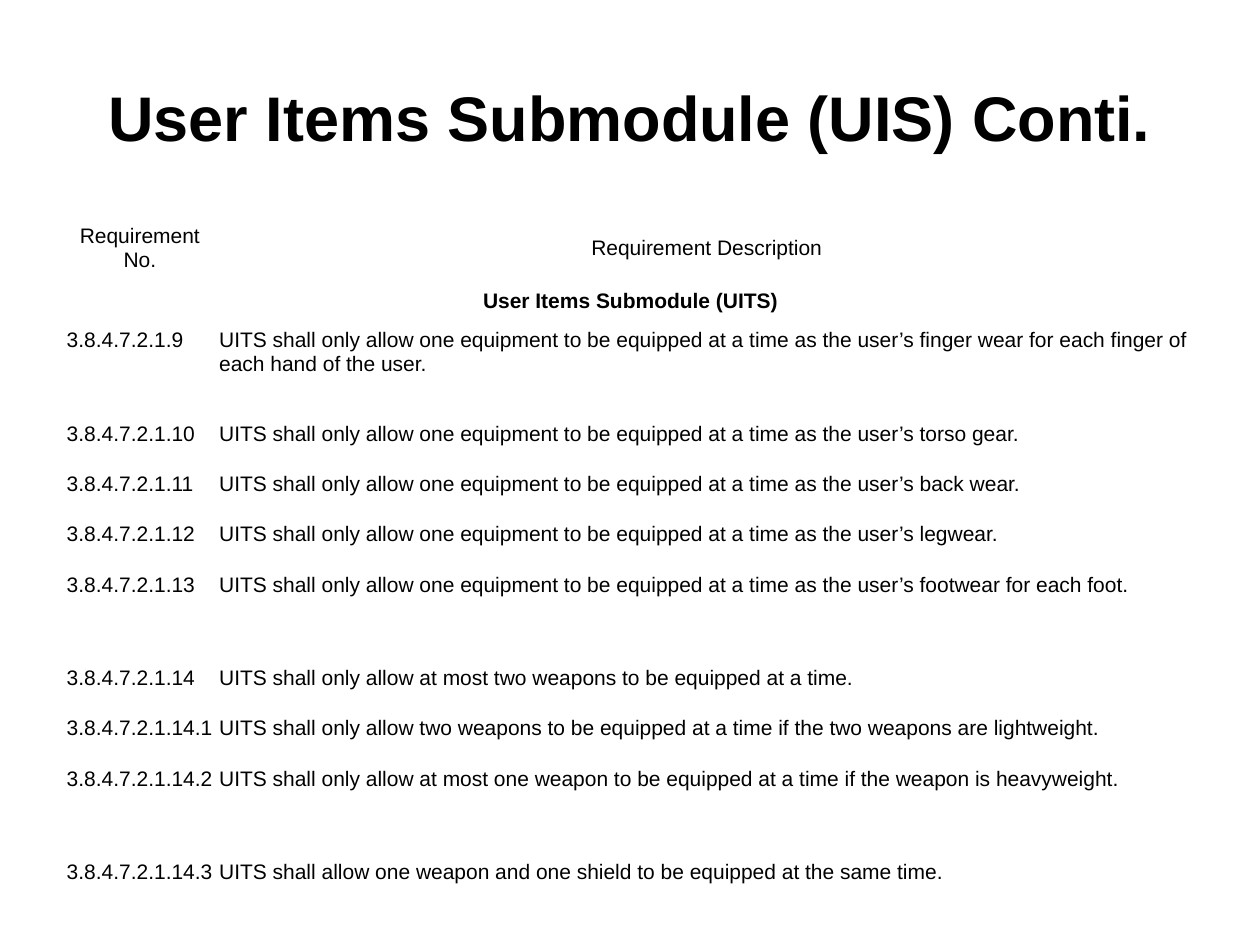
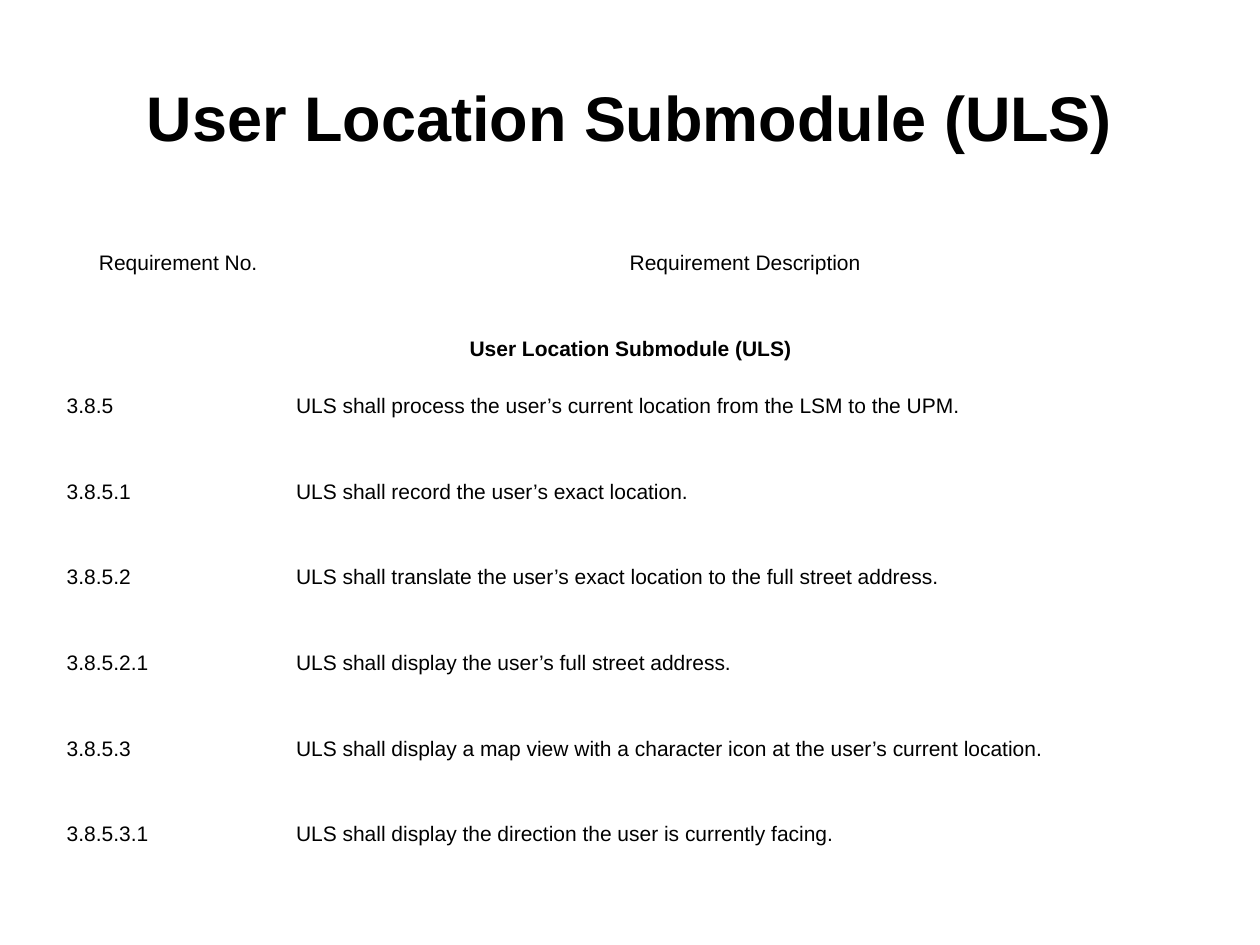
"""Builds two slides of numbered software requirements, each a title above a table."""
from dataclasses import dataclass

from pptx import Presentation
from pptx.dml.color import RGBColor
from pptx.enum.text import MSO_ANCHOR, PP_ALIGN
from pptx.oxml.ns import qn
from pptx.util import Inches, Pt

HEADERS = ("Requirement No.", "Requirement Description")
ONE_EQUIPMENT = "UITS shall only allow one equipment to be equipped at a time as the user’s "

SLIDES = [
    {
        "title": "User Items Submodule (UIS) Conti.",
        "section": "User Items Submodule (UITS)",
        "number_width": 1.21,
        "row_height": 0.4,
        "tall_height": 0.74,
        "tall": {"3.8.4.7.2.1.9", "3.8.4.7.2.1.13", "3.8.4.7.2.1.14.2"},
        "requirements": [
            ("3.8.4.7.2.1.9", ONE_EQUIPMENT + "finger wear for each finger of each hand of the user."),
            ("3.8.4.7.2.1.10", ONE_EQUIPMENT + "torso gear."),
            ("3.8.4.7.2.1.11", ONE_EQUIPMENT + "back wear."),
            ("3.8.4.7.2.1.12", ONE_EQUIPMENT + "legwear."),
            ("3.8.4.7.2.1.13", ONE_EQUIPMENT + "footwear for each foot."),
            ("3.8.4.7.2.1.14", "UITS shall only allow at most two weapons to be equipped at a time."),
            ("3.8.4.7.2.1.14.1", "UITS shall only allow two weapons to be equipped at a time if the two weapons are lightweight."),
            ("3.8.4.7.2.1.14.2", "UITS shall only allow at most one weapon to be equipped at a time if the weapon is heavyweight."),
            ("3.8.4.7.2.1.14.3", "UITS shall allow one weapon and one shield to be equipped at the same time."),
        ],
    },
    {
        "title": "User Location Submodule (ULS)",
        "section": "User Location Submodule (ULS)",
        "number_width": 1.82,
        "row_height": 0.68,
        "tall_height": 0.68,
        "tall": set(),
        "requirements": [
            ("3.8.5", "ULS shall process the user’s current location from the LSM to the UPM."),
            ("3.8.5.1", "ULS shall record the user’s exact location."),
            ("3.8.5.2", "ULS shall translate the user’s exact location to the full street address."),
            ("3.8.5.2.1", "ULS shall display the user’s full street address."),
            ("3.8.5.3", "ULS shall display a map view with a character icon at the user’s current location."),
            ("3.8.5.3.1", "ULS shall display the direction the user is currently facing."),
        ],
    },
]


@dataclass(frozen=True)
class Theme:
    """Colours, type and grid that the slides share."""
    font: str = "Arial"
    text: RGBColor = RGBColor(0, 0, 0)
    background: RGBColor = RGBColor(255, 255, 255)
    title_size: int = 36
    body_size: int = 12
    width: float = 10
    height: float = 7.5
    margin: float = 0.5
    title_top: float = 0.3
    title_height: float = 1.25
    table_top: float = 1.75
    title_inset: float = 0.1
    cell_inset: float = 0.02
    indent: float = 0.01
    plain_table: str = "{2D5ABB26-0587-4C30-8999-92F81FD0307C}"

    @property
    def content_width(self):
        """Width between the side margins."""
        return self.width - 2 * self.margin


THEME = Theme()


def write(tf, text, size=THEME.body_size, bold=False, align=PP_ALIGN.LEFT, indent=0):
    """Put one formatted paragraph into a text frame."""
    tf.word_wrap = True
    p = tf.paragraphs[0]
    p.alignment = align
    if indent:
        pPr = p._p.get_or_add_pPr()
        pPr.set("marL", str(Inches(indent)))
        pPr.set("indent", "0")
    r = p.add_run()
    r.text = text
    r.font.name, r.font.size, r.font.bold = THEME.font, Pt(size), bold
    r.font.color.rgb = THEME.text


def set_insets(box, inset):
    """Give a text frame or a cell the same inset on all sides."""
    box.margin_left = box.margin_top = box.margin_right = box.margin_bottom = Inches(inset)


def add_title(s, text):
    """Add the centred slide title."""
    sp = s.shapes.add_textbox(Inches(THEME.margin), Inches(THEME.title_top),
                              Inches(THEME.content_width), Inches(THEME.title_height))
    tf = sp.text_frame
    tf.vertical_anchor = MSO_ANCHOR.MIDDLE
    set_insets(tf, THEME.title_inset)
    write(tf, text, size=THEME.title_size, bold=True, align=PP_ALIGN.CENTER)


def add_requirements(s, content):
    """Add the table: a header row, a merged section row, then the requirements."""
    rows = [HEADERS, (content["section"], ""), *content["requirements"]]
    heights = [content["tall_height" if number in content["tall"] else "row_height"]
               for number, _ in rows]
    widths = (content["number_width"], THEME.content_width - content["number_width"])
    frame = s.shapes.add_table(len(rows), len(widths), Inches(THEME.margin), Inches(THEME.table_top),
                               Inches(THEME.content_width), Inches(sum(heights)))
    table = frame.table
    table.first_row = table.horz_banding = False
    table._tbl.tblPr.find(qn("a:tableStyleId")).text = THEME.plain_table
    for column, width in zip(table.columns, widths):
        column.width = Inches(width)
    for row, height in zip(table.rows, heights):
        row.height = Inches(height)
    table.cell(1, 0).merge(table.cell(1, 1))

    for i, texts in enumerate(rows):
        heading = i < 2
        for j, text in enumerate(texts):
            cell = table.cell(i, j)
            cell.fill.background()
            if cell.is_spanned:
                continue
            set_insets(cell, THEME.cell_inset)
            cell.vertical_anchor = MSO_ANCHOR.MIDDLE if heading else MSO_ANCHOR.TOP
            write(cell.text_frame, text, bold=i == 1, indent=THEME.indent,
                  align=PP_ALIGN.CENTER if heading else PP_ALIGN.LEFT)


def main():
    """Build and save the presentation."""
    prs = Presentation()
    prs.slide_width, prs.slide_height = Inches(THEME.width), Inches(THEME.height)
    for content in SLIDES:
        s = prs.slides.add_slide(prs.slide_layouts[6])
        s.background.fill.solid()
        s.background.fill.fore_color.rgb = THEME.background
        add_title(s, content["title"])
        add_requirements(s, content)
    prs.save("out.pptx")


if __name__ == "__main__":
    main()
